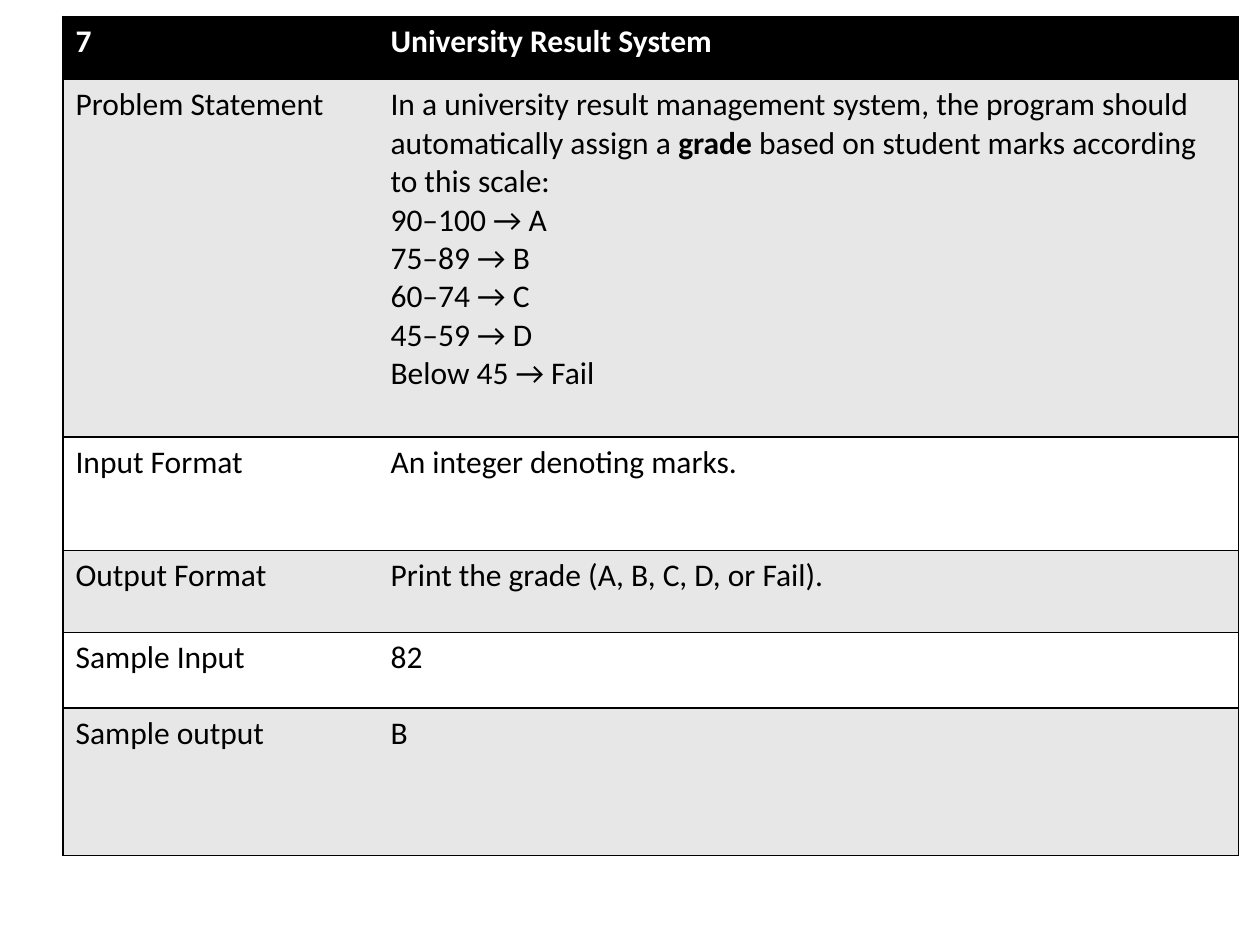
from dataclasses import dataclass

from lxml.etree import SubElement
from pptx import Presentation
from pptx.dml.color import RGBColor
from pptx.oxml.ns import qn
from pptx.util import Inches, Pt


@dataclass(frozen=True)
class Theme:
    """Colours, font and sizes of the slide."""
    ink: str = "000000"
    paper: str = "FFFFFF"
    band: str = "E7E7E7"
    font: str = "Calibri"
    size: int = 18
    line: int = 1


THEME = Theme()
WIDE, HIGH = 10, 7.5
LEFT, TOP = 0.5, 0.13
COLS = (2.5, 6.83)
ROWS = (0.5, 2.84, 0.9, 0.65, 0.6, 1.17)

TASK = (
    (("In a university result management system, the program should "
      "automatically assign a ", False),
     ("grade", True),
     (" based on student marks according to this scale:", False)),
    "90–100 → A",
    "75–89 → B",
    "60–74 → C",
    "45–59 → D",
    "Below 45 → Fail",
)
CELLS = (
    ("7", "University Result System"),
    ("Problem Statement", TASK),
    ("Input Format", "An integer denoting marks."),
    ("Output Format", "Print the grade (A, B, C, D, or Fail)."),
    ("Sample Input", "82"),
    ("Sample output", "B"),
)


def write(frame, text, color=THEME.ink, bold=False, size=THEME.size):
    """Fill a text frame with one string or a series of paragraphs."""
    lines = (text,) if isinstance(text, str) else text
    for pos, line in enumerate(lines):
        para = frame.add_paragraph() if pos else frame.paragraphs[0]
        parts = ((line, bold),) if isinstance(line, str) else line
        for words, heavy in parts:
            run = para.add_run()
            run.text = words
            run.font.name = THEME.font
            run.font.size = Pt(size)
            run.font.bold = heavy
            run.font.color.rgb = RGBColor.from_string(color)


def edge(cell, side, shown):
    """Draw or clear one side of a cell."""
    props = cell._tc.get_or_add_tcPr()
    line = SubElement(props, qn(f"a:ln{side}"), w=str(Pt(THEME.line)))
    if shown:
        fill = SubElement(line, qn("a:solidFill"))
        SubElement(fill, qn("a:srgbClr"), val=THEME.ink)
    else:
        SubElement(line, qn("a:noFill"))


def paint(cell, color):
    """Give a cell a plain fill."""
    cell.fill.solid()
    cell.fill.fore_color.rgb = RGBColor.from_string(color)


def grid(slide):
    """Add the problem table with its sizes, lines and text."""
    shape = slide.shapes.add_table(
        len(ROWS), len(COLS), Inches(LEFT), Inches(TOP),
        Inches(sum(COLS)), Inches(sum(ROWS)))
    table = shape.table
    for col, wide in zip(table.columns, COLS):
        col.width = Inches(wide)
    for row, high in zip(table.rows, ROWS):
        row.height = Inches(high)
    for r, texts in enumerate(CELLS):
        head = r == 0
        back = THEME.ink if head else (THEME.paper, THEME.band)[r % 2]
        for c, text in enumerate(texts):
            cell = table.cell(r, c)
            shown = {"L": c == 0, "R": c == len(COLS) - 1, "T": True, "B": True}
            for side, mark in shown.items():
                edge(cell, side, mark)
            paint(cell, back)
            write(cell.text_frame, text, bold=head,
                  color=THEME.paper if head else THEME.ink)


def main():
    """Build the slide and save it."""
    deck = Presentation()
    deck.slide_width, deck.slide_height = Inches(WIDE), Inches(HIGH)
    slide = deck.slides.add_slide(deck.slide_layouts[6])
    grid(slide)
    deck.save("out.pptx")


if __name__ == "__main__":
    main()
